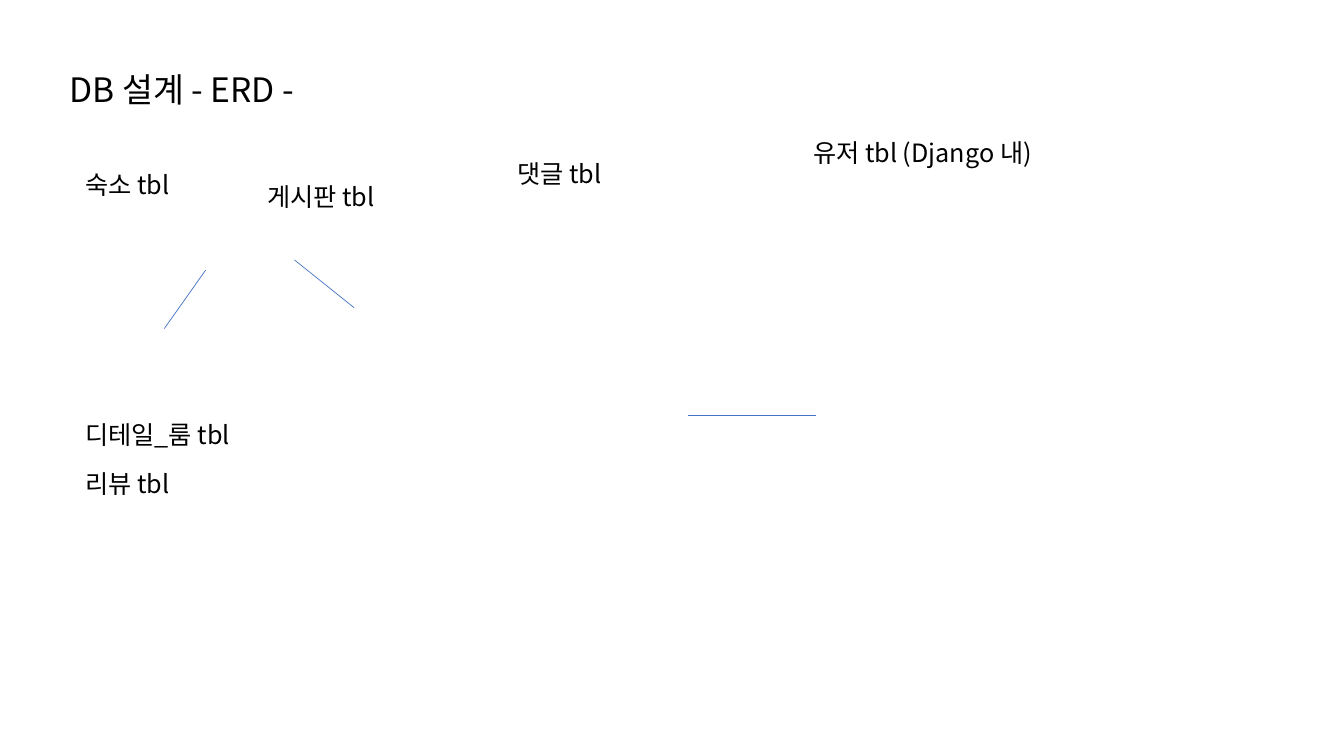
import pptx
import pptx.dml.color
import pptx.enum.shapes
import pptx.enum.text
import pptx.oxml.ns
import pptx.util
import lxml.etree

Cm = pptx.util.Cm
FONT = "Noto Sans CJK KR"
COLORS = {"text": "000000", "relation": "4472C4"}


def write_label(label, text, size):
    """Fill a shape with one left-aligned line of text."""
    frame = label.text_frame
    frame.text = text
    frame.word_wrap = True
    frame.auto_size = pptx.enum.text.MSO_AUTO_SIZE.SHAPE_TO_FIT_TEXT
    frame.vertical_anchor = pptx.enum.text.MSO_ANCHOR.TOP
    line = frame.paragraphs[0]
    line.alignment = pptx.enum.text.PP_ALIGN.LEFT
    line.font.size = pptx.util.Pt(size)
    line.font.color.rgb = pptx.dml.color.RGBColor.from_string(COLORS["text"])
    line.font.name = FONT
    # Hangul takes the East Asian typeface
    properties = line._p.pPr.find(pptx.oxml.ns.qn("a:defRPr"))
    lxml.etree.SubElement(properties, pptx.oxml.ns.qn("a:ea"), typeface=FONT)


presentation = pptx.Presentation()
presentation.slide_width = Cm(33.87)
presentation.slide_height = Cm(19.05)
slide = presentation.slides.add_slide(presentation.slide_layouts[5])

title = slide.shapes.title
title.left, title.top, title.width, title.height = Cm(1.5), Cm(1.09), Cm(16.94), Cm(1.6)
write_label(title, "DB 설계 - ERD -", 24)
title.text_frame.paragraphs[0].line_spacing = 1.5

# Table names: text, left, top
table_names = [
    ("숙소 tbl", 1.9, 4.14),
    ("디테일_룸 tbl", 1.9, 10.44),
    ("리뷰 tbl", 1.9, 11.68),
    ("게시판 tbl", 6.48, 4.45),
    ("댓글 tbl", 12.78, 3.86),
    ("유저 tbl (Django 내)", 20.24, 3.33),
]
for name, left, top in table_names:
    label = slide.shapes.add_textbox(Cm(left), Cm(top), Cm(9.17), Cm(1.02))
    write_label(label, name, 18)

# Relations: start x, start y, end x, end y
relations = [
    (17.35, 10.46, 20.57, 10.46),
    (4.14, 8.28, 5.18, 6.81),
    (8.92, 7.75, 7.42, 6.55),
]
for ends in relations:
    relation = slide.shapes.add_connector(
        pptx.enum.shapes.MSO_CONNECTOR.STRAIGHT, *[Cm(value) for value in ends]
    )
    relation.line.width = pptx.util.Pt(0.5)
    relation.line.color.rgb = pptx.dml.color.RGBColor.from_string(COLORS["relation"])
    lxml.etree.SubElement(relation._element.spPr, pptx.oxml.ns.qn("a:effectLst"))

presentation.save("out.pptx")
